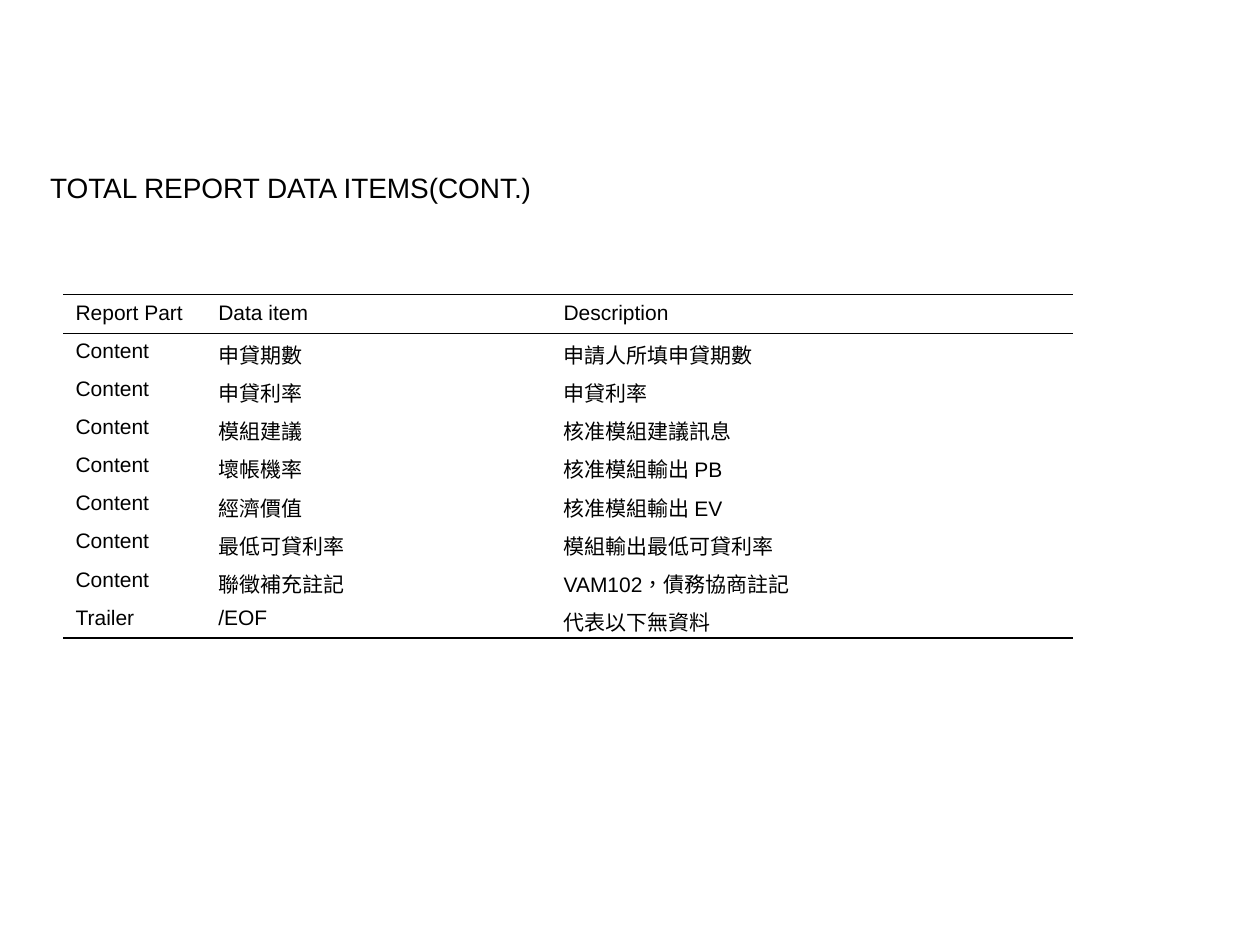
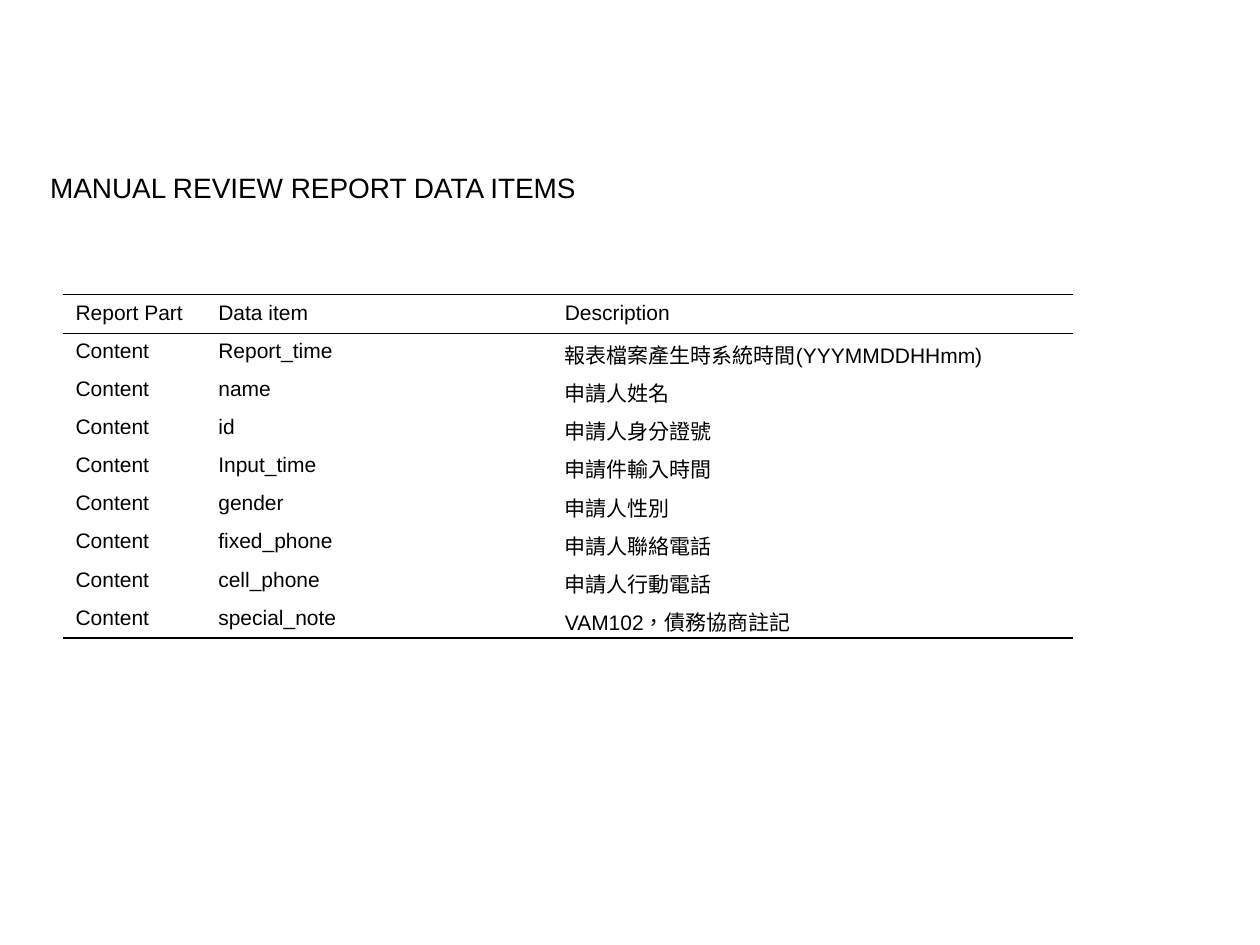
from dataclasses import dataclass
from typing import NamedTuple

from lxml.etree import SubElement
from pptx import Presentation
from pptx.dml.color import RGBColor
from pptx.enum.text import MSO_ANCHOR as Anchor, PP_ALIGN as Align
from pptx.oxml.ns import qn
from pptx.util import Length, Pt


@dataclass(frozen=True)
class Theme:
    font: str = "Arial"
    language: str = "zh-TW"
    ink: str = "000000"
    title_size: Length = Pt(16)
    table_size: Length = Pt(12)
    outer_rule: Length = Pt(0.75)
    header_rule: Length = Pt(0.45)
    inset_x: Length = Pt(7.2)
    inset_y: Length = Pt(3.6)


class Item(NamedTuple):
    part: str
    name: str
    description: str


@dataclass(frozen=True)
class Report:
    title: str
    name_width: Length
    items: list[Item]


THEME = Theme()
HEADER = Item("Report Part", "Data item", "Description")

# Table geometry
TABLE_LEFT, TABLE_TOP = Pt(36), Pt(168.4)
TABLE_WIDTH, ROW_HEIGHT = Pt(577), Pt(21.8)
PART_WIDTH = Pt(81.6)


def content(name: str, description: str) -> Item:
    return Item("Content", name, description)


REPORTS = [
    Report("TOTAL REPORT DATA ITEMS(CONT.)", Pt(197.3), [
        content("申貸期數", "申請人所填申貸期數"),
        content("申貸利率", "申貸利率"),
        content("模組建議", "核准模組建議訊息"),
        content("壞帳機率", "核准模組輸出 PB"),
        content("經濟價值", "核准模組輸出 EV"),
        content("最低可貸利率", "模組輸出最低可貸利率"),
        content("聯徵補充註記", "VAM102，債務協商註記"),
        Item("Trailer", "/EOF", "代表以下無資料"),
    ]),
    Report("MANUAL REVIEW REPORT DATA ITEMS", Pt(198), [
        content("Report_time", "報表檔案產生時系統時間(YYYMMDDHHmm)"),
        content("name", "申請人姓名"),
        content("id", "申請人身分證號"),
        content("Input_time", "申請件輸入時間"),
        content("gender", "申請人性別"),
        content("fixed_phone", "申請人聯絡電話"),
        content("cell_phone", "申請人行動電話"),
        content("special_note", "VAM102，債務協商註記"),
    ]),
]


def write(frame, text: str, size: Length) -> None:
    frame.text = text
    paragraph = frame.paragraphs[0]
    paragraph.alignment = Align.LEFT
    paragraph.space_before = Pt(0)
    for run in paragraph.runs:
        run.font.name = THEME.font
        run.font.size = size
        run.font.color.rgb = RGBColor.from_string(THEME.ink)
        run._r.get_or_add_rPr().set("lang", THEME.language)


def set_borders(cell, top: Length | None, bottom: Length | None) -> None:
    properties = cell._tc.get_or_add_tcPr()
    for side, width in (("L", None), ("R", None), ("T", top), ("B", bottom)):
        border = SubElement(properties, qn(f"a:ln{side}"))
        if width is None:
            SubElement(border, qn("a:noFill"))
        else:
            border.set("w", str(int(width)))
            fill = SubElement(border, qn("a:solidFill"))
            SubElement(fill, qn("a:srgbClr")).set("val", THEME.ink)


def add_title(slide, text: str) -> None:
    title = slide.shapes.title
    title.left, title.top = Pt(21.4), Pt(93.6)
    title.width, title.height = Pt(669), Pt(26.6)
    frame = title.text_frame
    frame.word_wrap = True
    frame.vertical_anchor = Anchor.TOP
    frame.margin_left = frame.margin_right = THEME.inset_x
    frame.margin_top = frame.margin_bottom = THEME.inset_y
    write(frame, text, THEME.title_size)


def add_items(slide, report: Report) -> None:
    rows = [HEADER, *report.items]
    widths = (PART_WIDTH, report.name_width,
              TABLE_WIDTH - PART_WIDTH - report.name_width)
    table = slide.shapes.add_table(
        len(rows), len(widths), TABLE_LEFT, TABLE_TOP,
        TABLE_WIDTH, ROW_HEIGHT * len(rows)).table
    table.first_row = table.horz_banding = False
    for column, width in zip(table.columns, widths):
        column.width = width

    # Rules above and below the header, and under the last row
    top_rules = {0: THEME.outer_rule, 1: THEME.header_rule}
    bottom_rules = {0: THEME.header_rule, len(rows) - 1: THEME.outer_rule}
    for r, item in enumerate(rows):
        table.rows[r].height = ROW_HEIGHT
        for c, text in enumerate(item):
            cell = table.cell(r, c)
            set_borders(cell, top_rules.get(r), bottom_rules.get(r))
            cell.fill.background()
            cell.margin_left = cell.margin_right = THEME.inset_x
            # No bottom inset, so the taller Chinese lines keep the row height
            cell.margin_top, cell.margin_bottom = THEME.inset_y, Pt(0)
            write(cell.text_frame, text, THEME.table_size)


def main() -> None:
    deck = Presentation()
    deck.slide_width, deck.slide_height = Pt(720), Pt(540)
    title_only = deck.slide_layouts[5]
    for report in REPORTS:
        slide = deck.slides.add_slide(title_only)
        add_title(slide, report.title)
        add_items(slide, report)
    deck.save("out.pptx")


if __name__ == "__main__":
    main()
